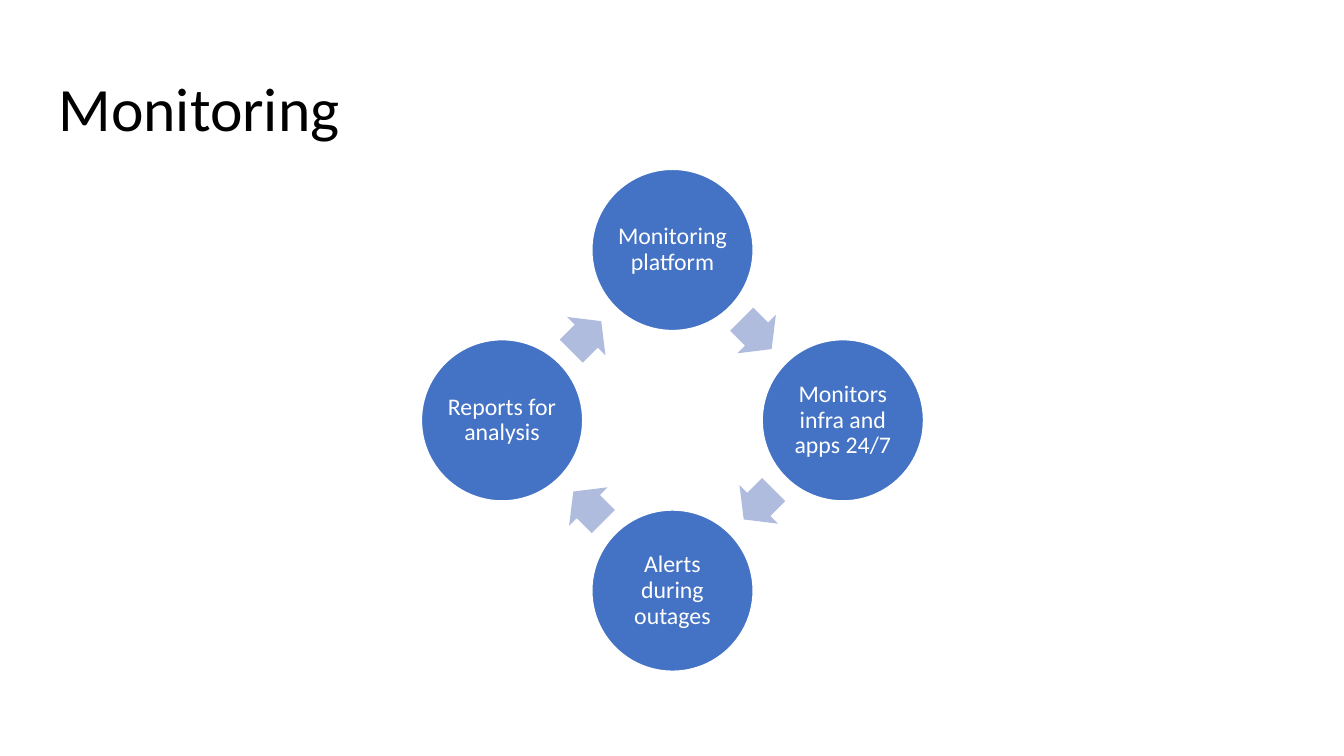
from math import cos, radians, sin

from pptx import Presentation
from pptx.dml.color import RGBColor
from pptx.enum.shapes import MSO_SHAPE
from pptx.enum.text import MSO_ANCHOR, MSO_AUTO_SIZE, PP_ALIGN
from pptx.util import Inches, Pt

COLORS = {"stage": "4472C4", "arrow": "B0BCDE", "light": "FFFFFF", "title": "000000"}
STAGES = [
    "Monitoring platform",
    "Monitors infra and apps 24/7",
    "Alerts during outages",
    "Reports for analysis",
]


def color(name):
    """Return the named colour."""
    return RGBColor.from_string(COLORS[name])


def write(owner, text, size, ink, align, anchor, inset):
    """Put formatted text into a shape or placeholder."""
    frame = owner.text_frame
    frame.text = text
    frame.word_wrap = True
    frame.auto_size = MSO_AUTO_SIZE.NONE
    frame.vertical_anchor = anchor
    frame.margin_left = frame.margin_right = Inches(inset)
    frame.margin_top = frame.margin_bottom = Inches(inset)
    paragraph = frame.paragraphs[0]
    paragraph.alignment = align
    paragraph.line_spacing = 0.9
    font = paragraph.runs[0].font
    font.name = "Calibri"
    font.size = Pt(size)
    font.color.rgb = color(ink)


def add_centered(slide, kind, center, size, fill):
    """Add a filled preset shape around a centre point."""
    (x, y), (width, height) = center, size
    shape = slide.shapes.add_shape(
        kind, Inches(x - width / 2), Inches(y - height / 2), Inches(width), Inches(height)
    )
    shape.shadow.inherit = False
    shape.fill.solid()
    shape.fill.fore_color.rgb = color(fill)
    return shape


def add_title(slide, text, left, top, width, height):
    """Place and format the slide title."""
    title = slide.shapes.title
    title.left, title.top = Inches(left), Inches(top)
    title.width, title.height = Inches(width), Inches(height)
    write(title, text, size=44, ink="title", align=PP_ALIGN.LEFT,
          anchor=MSO_ANCHOR.TOP, inset=0.13)


def add_cycle(slide, stages, left, top, side, diameter=1.6, arrow_lag=0.7):
    """Draw the stages clockwise in a square box, with an arrow after each."""
    orbit = (side - diameter) / 2
    step = 360 / len(stages)

    def on_ring(degrees, radius):
        """Return the point at a clockwise angle from the top."""
        angle = radians(degrees)
        return left + side / 2 + radius * sin(angle), top + side / 2 - radius * cos(angle)

    for index, text in enumerate(stages):
        turn = index * step
        stage = add_centered(slide, MSO_SHAPE.OVAL, on_ring(turn, orbit),
                             (diameter, diameter), "stage")
        stage.line.color.rgb = color("light")
        stage.line.width = Pt(1)
        write(stage, text, size=17, ink="light", align=PP_ALIGN.CENTER,
              anchor=MSO_ANCHOR.MIDDLE, inset=0.02)

        halfway = turn + step / 2
        arrow_center = on_ring(halfway - arrow_lag, orbit * cos(radians(step / 2)))
        arrow = add_centered(slide, MSO_SHAPE.RIGHT_ARROW, arrow_center, (0.42, 0.54), "arrow")
        arrow.line.fill.background()
        arrow.adjustments[0] = 0.6
        arrow.adjustments[1] = 0.5
        arrow.rotation = halfway


def main():
    """Build and save the monitoring slide."""
    deck = Presentation()
    deck.slide_width, deck.slide_height = Inches(13.33), Inches(7.5)
    slide = deck.slides.add_slide(deck.slide_layouts[5])
    add_title(slide, "Monitoring", left=0.45, top=0.65, width=12.42, height=0.84)
    add_cycle(slide, STAGES, left=4.18, top=1.68, side=4.98)
    deck.save("out.pptx")


main()
